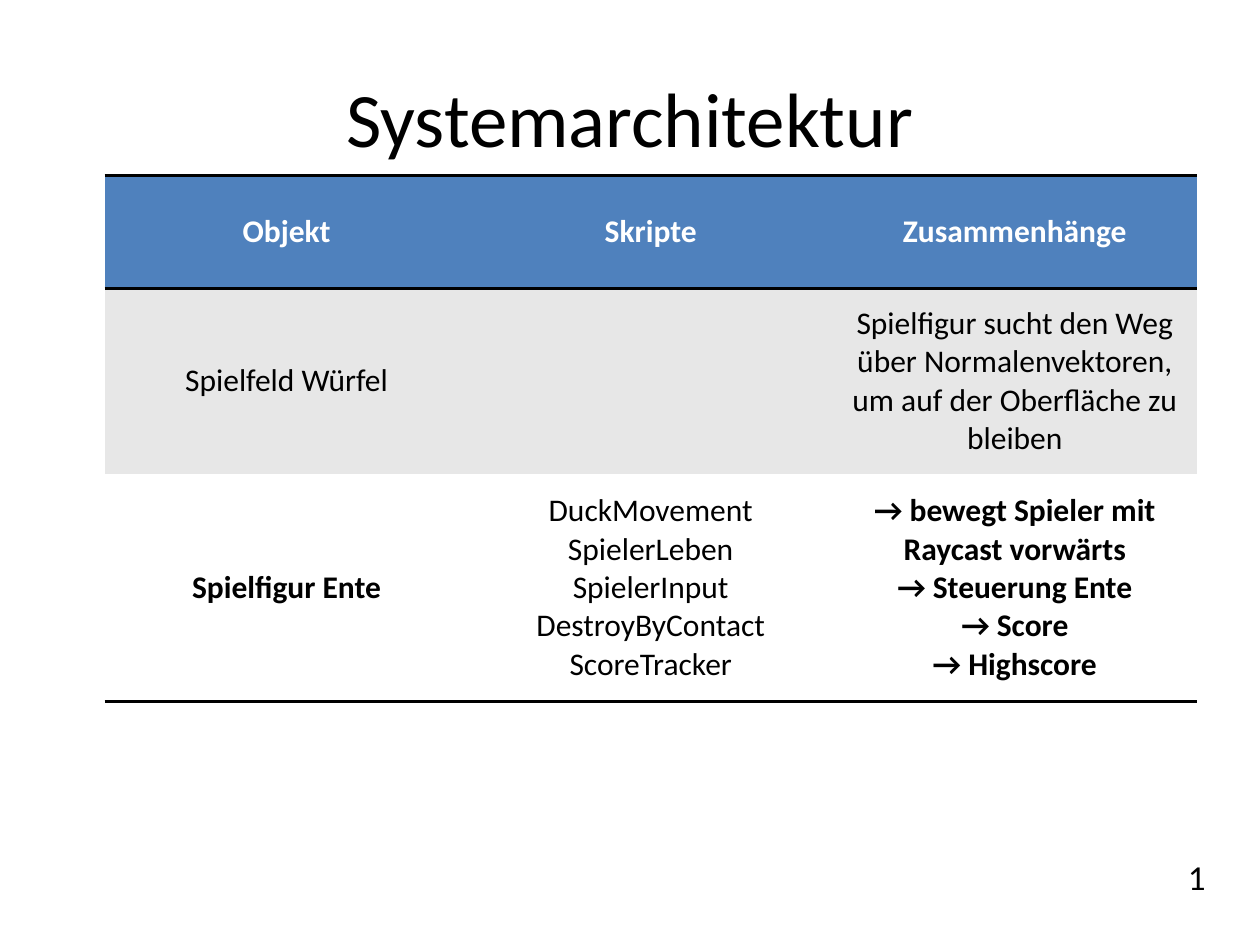
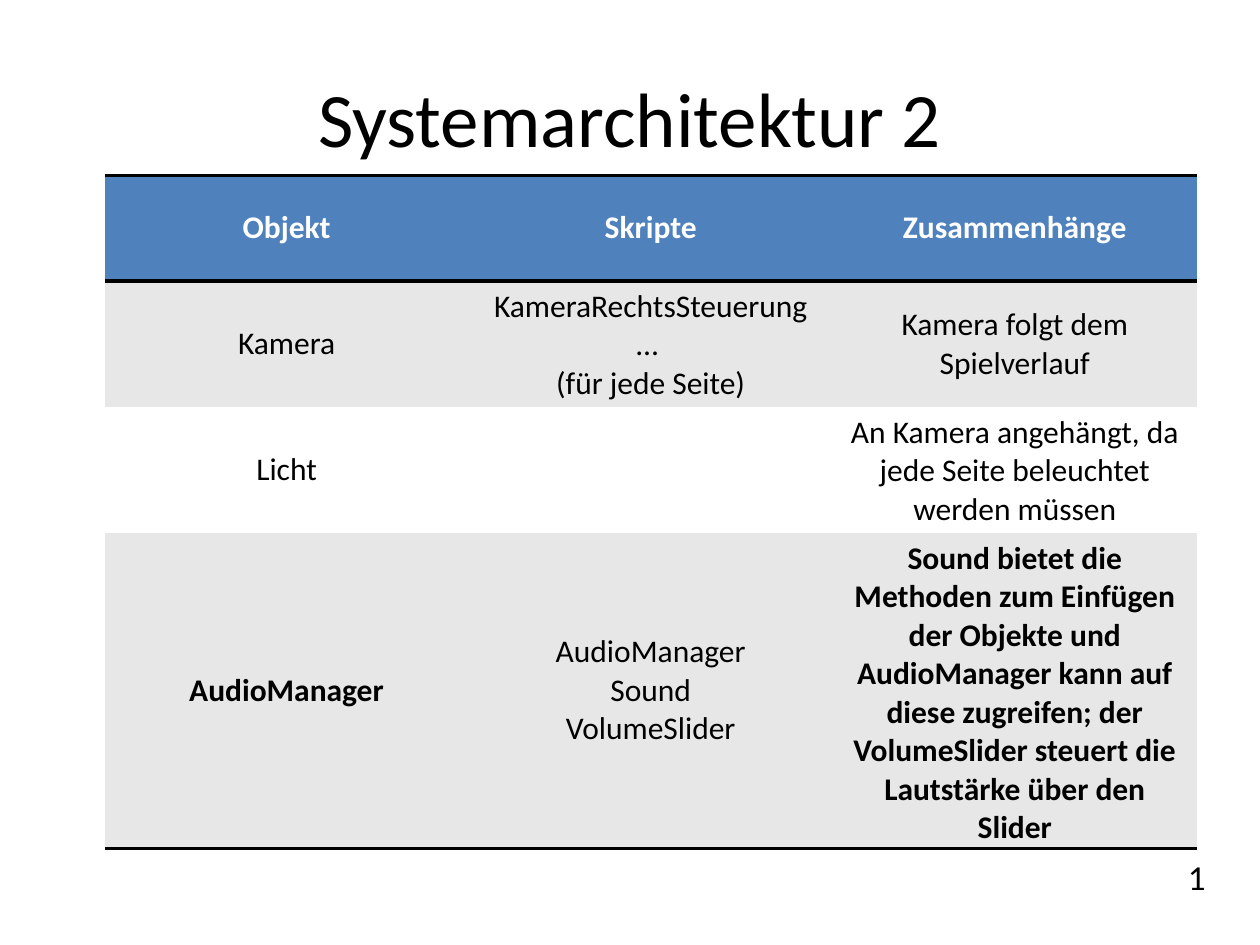
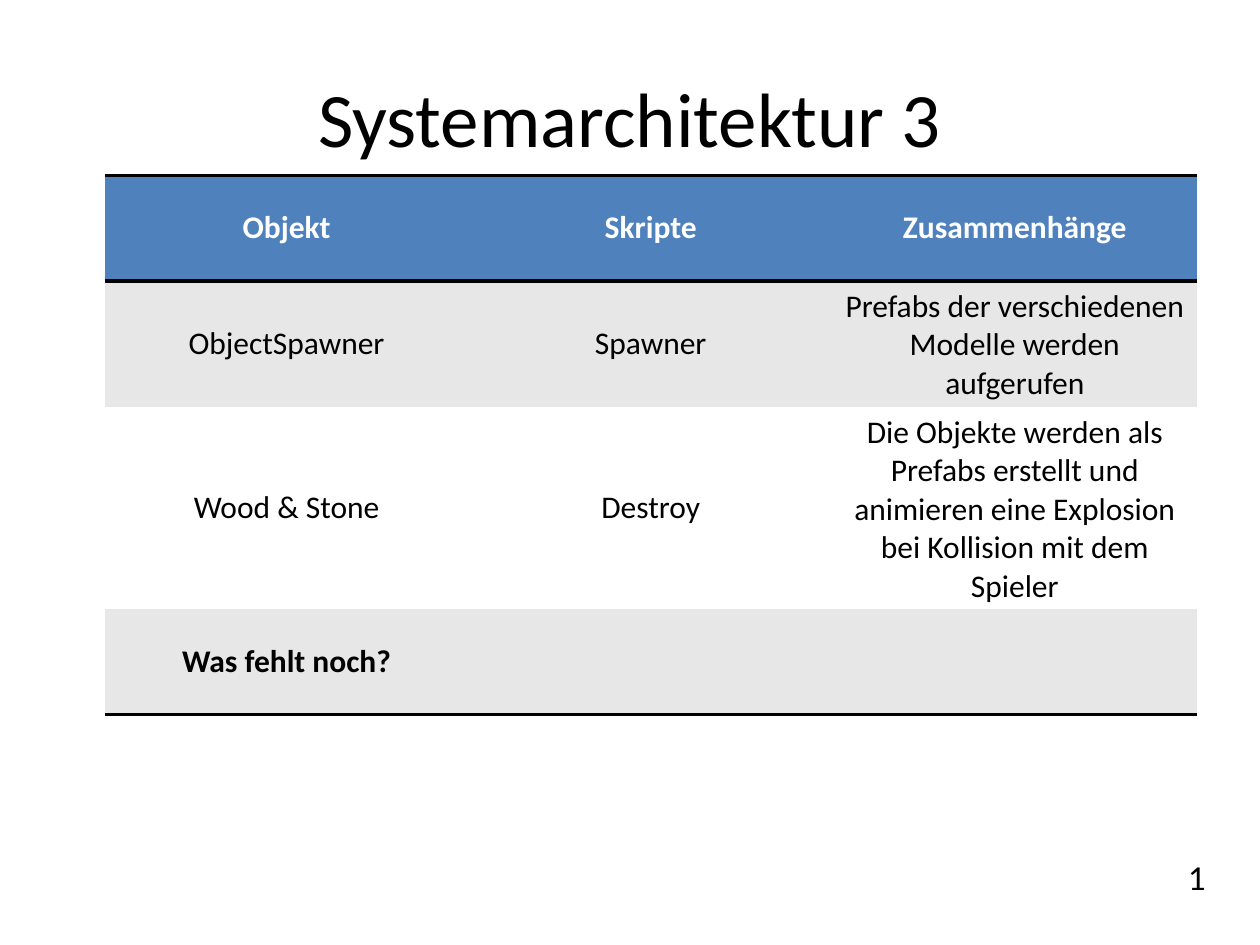
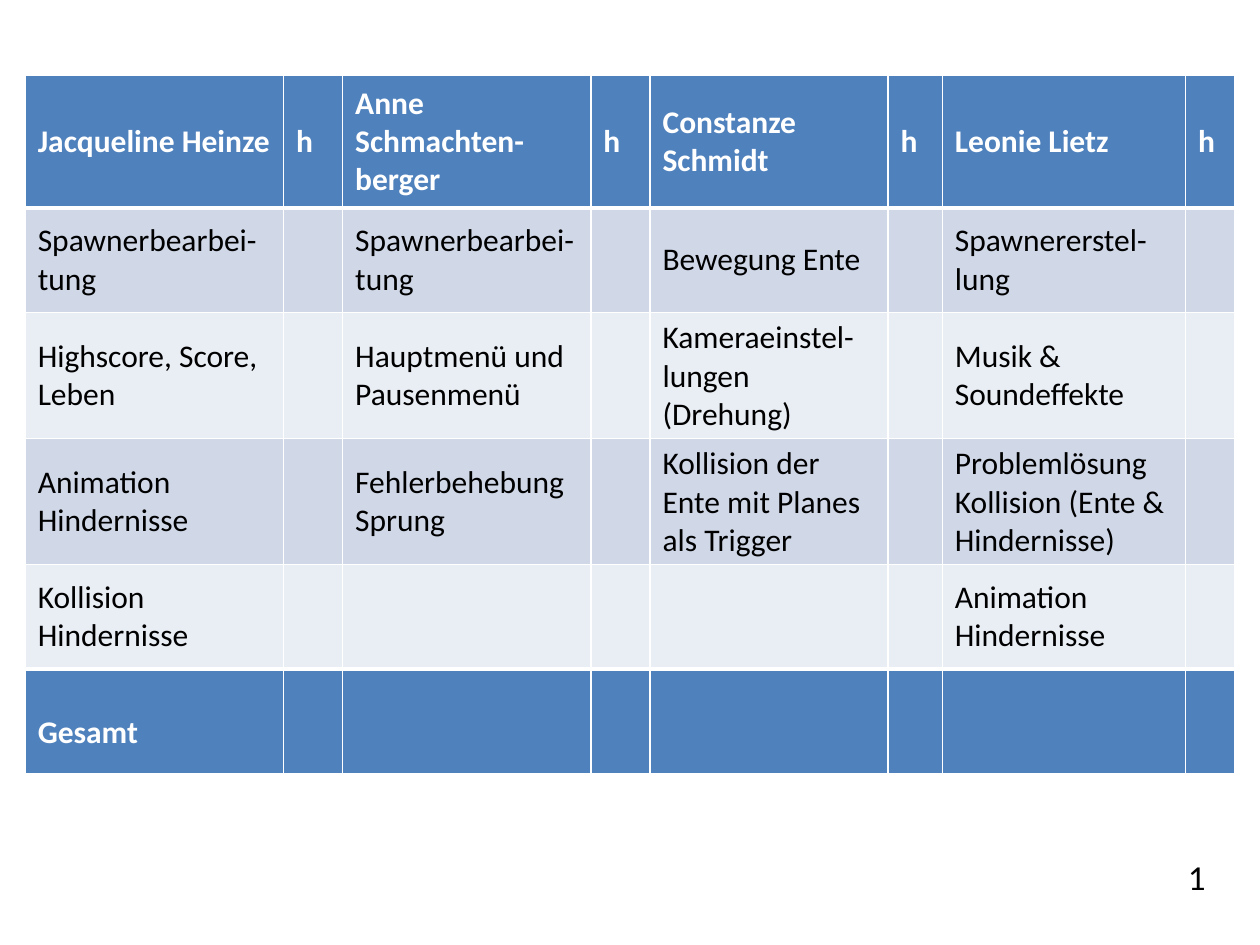
from lxml import etree
from pptx import Presentation
from pptx.dml.color import RGBColor
from pptx.enum.text import MSO_ANCHOR, MSO_AUTO_SIZE, PP_ALIGN
from pptx.oxml.ns import qn
from pptx.util import Inches, Pt

LEFT, CENTER = PP_ALIGN.LEFT, PP_ALIGN.CENTER
TOP, MIDDLE = MSO_ANCHOR.TOP, MSO_ANCHOR.MIDDLE
FIT_SHAPE = MSO_AUTO_SIZE.SHAPE_TO_FIT_TEXT

BLACK = RGBColor(0x00, 0x00, 0x00)
WHITE = RGBColor(0xFF, 0xFF, 0xFF)
BLUE = RGBColor(0x4F, 0x81, 0xBD)
GRAY = RGBColor(0xE7, 0xE7, 0xE7)
BAND_DARK = RGBColor(0xD0, 0xD8, 0xE8)
BAND_LIGHT = RGBColor(0xE9, 0xED, 0xF4)

FONT = "Calibri"
BLANK_LAYOUT = 6
PAGE_LABEL = "1"

ARCHITECTURE_HEADER = ["Objekt", "Skripte", "Zusammenhänge"]
ARCHITECTURE_SLIDES = [
    ("Systemarchitektur", [0.9, 1.47, 1.81], [
        ["Spielfeld Würfel", "",
         "Spielfigur sucht den Weg über Normalenvektoren, um auf der Oberfläche zu bleiben"],
        ["Spielfigur Ente",
         "DuckMovement\vSpielerLeben\vSpielerInput\vDestroyByContact\vScoreTracker",
         "→ bewegt Spieler mit Raycast vorwärts\v→ Steuerung Ente\v→ Score\n→ Highscore"],
    ]),
    ("Systemarchitektur 2", [0.84] * 4, [
        ["Kamera", "KameraRechtsSteuerung\v… \v(für jede Seite)",
         "Kamera folgt dem Spielverlauf"],
        ["Licht", "", "An Kamera angehängt, da jede Seite beleuchtet werden müssen"],
        ["AudioManager", "AudioManager\vSound\vVolumeSlider",
         "Sound bietet die Methoden zum Einfügen der Objekte und AudioManager kann auf "
         "diese zugreifen; der VolumeSlider steuert die Lautstärke über den Slider"],
    ]),
    ("Systemarchitektur 3", [0.84] * 4, [
        ["ObjectSpawner", "Spawner", "Prefabs der verschiedenen Modelle werden aufgerufen"],
        ["Wood & Stone", "Destroy",
         "Die Objekte werden als Prefabs erstellt und animieren eine Explosion bei "
         "Kollision mit dem Spieler"],
        ["Was fehlt noch?", "", ""],
    ]),
]

MEMBERS = ["Jacqueline Heinze", "Anne Schmachten- berger", "Constanze Schmidt", "Leonie Lietz"]
TASKS = [
    ["Spawnerbearbei-tung", "Spawnerbearbei-tung", "Bewegung Ente", "Spawnererstel-lung"],
    ["Highscore, Score, Leben", "Hauptmenü und Pausenmenü",
     "Kameraeinstel-lungen (Drehung)", "Musik & Soundeffekte"],
    ["Animation Hindernisse", "Fehlerbehebung Sprung",
     "Kollision der Ente mit Planes als Trigger",
     "Problemlösung Kollision (Ente & Hindernisse)"],
    ["Kollision Hindernisse", "", "", "Animation Hindernisse"],
]
TASK_COLUMNS = [2.05, 0.47, 1.97, 0.47, 1.89, 0.43, 1.93, 0.39]
TASK_ROWS = [1.05, 0.83, 0.98, 0.98, 0.83, 0.83]


def write_text(text_frame, text, size=18, color=BLACK, bold=False, align=LEFT):
    """Write one paragraph per line of text in a single format."""
    for index, line in enumerate(text.split("\n")):
        paragraph = text_frame.add_paragraph() if index else text_frame.paragraphs[0]
        paragraph.text = line
        paragraph.alignment = align
        for font in [paragraph.font] + [run.font for run in paragraph.runs]:
            font.name = FONT
            font.size = Pt(size)
            font.bold = bold
            font.color.rgb = color


def add_text_box(slide, box, text, wrap=True, anchor=TOP, **text_format):
    """Add a text box at box, given as left, top, width and height in inches."""
    text_frame = slide.shapes.add_textbox(*map(Inches, box)).text_frame
    text_frame.word_wrap = wrap
    text_frame.vertical_anchor = anchor
    if not wrap:
        text_frame.auto_size = FIT_SHAPE
    write_text(text_frame, text, **text_format)


def set_borders(cell, color, widths):
    """Draw the left, right, top and bottom borders; a width of 0 hides one."""
    properties = cell._tc.get_or_add_tcPr()
    for side, width in zip("LRTB", widths):
        line = etree.SubElement(properties, qn(f"a:ln{side}"), w=str(Pt(width)))
        if width:
            fill = etree.SubElement(line, qn("a:solidFill"))
            etree.SubElement(fill, qn("a:srgbClr"), val=str(color))
        else:
            etree.SubElement(line, qn("a:noFill"))


def add_grid(slide, left, top, columns, rows, line_color, row_lines, column_line):
    """Add a table with ruled borders and return it."""
    frame = slide.shapes.add_table(
        len(rows), len(columns), Inches(left), Inches(top),
        Inches(sum(columns)), Inches(sum(rows)))
    table = frame.table
    table.first_row = table.horz_banding = False
    for column, width in zip(table.columns, columns):
        column.width = Inches(width)
    for index, height in enumerate(rows):
        table.rows[index].height = Inches(height)
        for cell in table.rows[index].cells:
            set_borders(cell, line_color,
                        (column_line, column_line, row_lines[index], row_lines[index + 1]))
    return table


def fill_cell(cell, text, background, **text_format):
    """Give a cell its background and vertically centred text."""
    cell.fill.solid()
    cell.fill.fore_color.rgb = background
    cell.vertical_anchor = MIDDLE
    write_text(cell.text_frame, text, **text_format)


def add_page(presentation):
    """Add a blank slide with its page label."""
    slide = presentation.slides.add_slide(presentation.slide_layouts[BLANK_LAYOUT])
    add_text_box(slide, (9.33, 6.74, 0.34, 0.44), PAGE_LABEL, wrap=False, size=20)
    return slide


def add_architecture_slide(presentation, title, heights, body):
    """Add a titled slide with objects, their scripts and relations."""
    slide = add_page(presentation)
    add_text_box(slide, (0.5, 0.3, 9, 1.25), title, anchor=MIDDLE, size=44, align=CENTER)
    row_lines = [2, 2] + [0] * (len(body) - 1) + [2]
    table = add_grid(slide, 0.83, 1.39, [2.89] * 3, heights, BLACK, row_lines, 0)
    for cell, text in zip(table.rows[0].cells, ARCHITECTURE_HEADER):
        fill_cell(cell, text, BLUE, color=WHITE, bold=True, align=CENTER)
    for row, texts in enumerate(body, start=1):
        for column, text in enumerate(texts):
            fill_cell(table.cell(row, column), text, GRAY if row % 2 else WHITE,
                      bold=row == len(body) and column != 1, align=CENTER)


def add_task_slide(presentation):
    """Add the slide with the tasks and hours of each member."""
    slide = add_page(presentation)
    row_lines = [1, 3] + [1] * (len(TASKS) - 1) + [3, 1]
    table = add_grid(slide, 0.2, 0.6, TASK_COLUMNS, TASK_ROWS, WHITE, row_lines, 1)
    content = [MEMBERS] + TASKS + [["Gesamt", "", "", ""]]
    last = len(content) - 1
    for row, texts in enumerate(content):
        strong = row in (0, last)
        background = BLUE if strong else BAND_DARK if row % 2 else BAND_LIGHT
        for member, text in enumerate(texts):
            hours = "h" if row == 0 else ""
            for offset, value in enumerate((text, hours)):
                fill_cell(table.cell(row, 2 * member + offset), value, background,
                          color=WHITE if strong else BLACK, bold=strong)
    total = table.cell(last, 0)
    total.vertical_anchor = TOP
    total.margin_top = Inches(0.35)


def main():
    """Build and save the presentation."""
    presentation = Presentation()
    presentation.slide_width = Inches(10)
    presentation.slide_height = Inches(7.5)
    for title, heights, body in ARCHITECTURE_SLIDES:
        add_architecture_slide(presentation, title, heights, body)
    add_task_slide(presentation)
    presentation.save("out.pptx")


if __name__ == "__main__":
    main()
